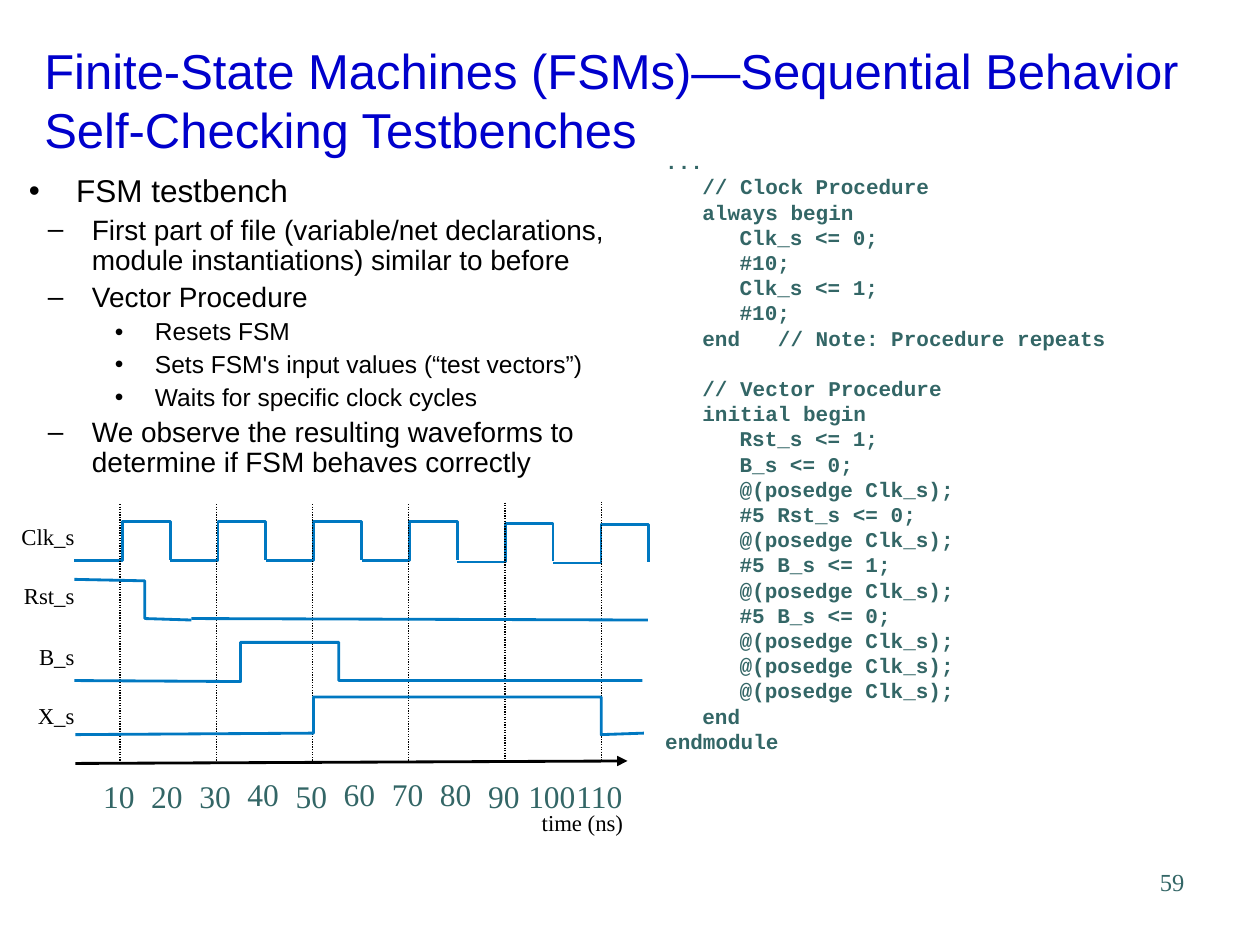
"""Build the slide on self-checking testbenches for finite-state machines."""
from dataclasses import dataclass

from lxml.etree import SubElement
from pptx import Presentation
from pptx.dml.color import RGBColor
from pptx.enum.dml import MSO_LINE_DASH_STYLE as Dash
from pptx.enum.text import MSO_ANCHOR as Anchor, MSO_AUTO_SIZE as AutoSize, PP_ALIGN as Align
from pptx.oxml.ns import qn
from pptx.util import Cm, Pt

COLORS = {"title": "0000CC", "body": "000000", "code": "336666", "wave": "0078C1"}
SANS, SERIF, MONO = "Arial", "Times New Roman", "Courier New"
INSETS = (0.25, 0.13)
CODE_LINE = 14.4
CODE_CHARACTER = 0.25
DRIFT = (0, 0, 0, 0, 0.03, 0.05)
PERIOD = 1.93
GUIDE_STEP = 1.94
TICK_STEP = 0.97
RAISED_TICKS = (40, 60, 70, 80)


@dataclass(frozen=True)
class Style:
    font: str
    size: float
    color: str
    bold: bool = False


@dataclass(frozen=True)
class Level:
    size: float
    margin: float
    hanging: float
    before: float


@dataclass(frozen=True)
class Label:
    text: str
    left: float
    top: float
    width: float
    align: Align = Align.RIGHT


TITLE = Style(SANS, 28, "title")
CODE = Style(MONO, 12, "code", True)
SIGNAL = Style(SERIF, 13, "body")
TICK = Style(SERIF, 18, "code")
NUMBER = Style(SERIF, 14, "code")

LEVELS = (
    Level(18, 0.95, 0.95, 4.5),
    Level(16, 1.27, 0.89, 4),
    Level(14, 2.54, 0.81, 3.5),
)
BULLETS = (
    (0, "FSM testbench"),
    (1, "First part of file (variable/net declarations, module instantiations) similar to before"),
    (1, "Vector Procedure"),
    (2, "Resets FSM"),
    (2, "Sets FSM's input values (“test vectors”)"),
    (2, "Waits for specific clock cycles"),
    (1, "We observe the resulting waveforms to determine if FSM behaves correctly"),
)
LISTING = """...
   // Clock Procedure
   always begin
      Clk_s <= 0;
      #10;
      Clk_s <= 1;
      #10;
   end   // Note: Procedure repeats

   // Vector Procedure
   initial begin
      Rst_s <= 1;
      B_s <= 0;
      @(posedge Clk_s);
      #5 Rst_s <= 0;
      @(posedge Clk_s);
      #5 B_s <= 1;
      @(posedge Clk_s);
      #5 B_s <= 0;
      @(posedge Clk_s);
      @(posedge Clk_s);
      @(posedge Clk_s);
   end
endmodule"""
LABELS = (
    Label("Clk_s", 0.1, 10.54, 1.4),
    Label("Rst_s", 0.1, 11.73, 1.4),
    Label("B_s", 0.1, 12.95, 1.4),
    Label("X_s", 0.1, 14.15, 1.4),
    Label("time (ns)", 10.29, 16.31, 2.9, Align.CENTER),
)
WAVES = (
    ((1.5, 11.68), (2.92, 11.71), (2.92, 12.47), (3.86, 12.5)),
    ((3.86, 12.47), (13.06, 12.5)),
    ((1.5, 13.72), (4.85, 13.74), (4.85, 12.95), (6.83, 12.95), (6.83, 13.72), (12.95, 13.72)),
    ((1.52, 14.81), (6.32, 14.78), (6.32, 14.05), (12.12, 14.05), (12.12, 14.81), (12.98, 14.78)),
)


def color(name: str) -> RGBColor:
    """Look up a named colour."""
    return RGBColor.from_string(COLORS[name])


def format_runs(para, style: Style) -> None:
    """Give every run of a paragraph the same style."""
    for span in para.runs:
        span.font.name, span.font.size, span.font.bold = style.font, Pt(style.size), style.bold
        span.font.color.rgb = color(style.color)


def indent(para, margin: float, hanging: float = 0) -> None:
    """Set the left margin and the hanging indent of a paragraph."""
    properties = para._p.get_or_add_pPr()
    properties.set("marL", str(Cm(margin)))
    properties.set("indent", str(-Cm(hanging)))


def place(shape, left: float, top: float, width: float, height: float) -> None:
    """Move and size a placeholder."""
    shape.left, shape.top, shape.width, shape.height = map(Cm, (left, top, width, height))
    shape.text_frame.auto_size = AutoSize.NONE


def add_text(page, label: Label, height: float, style: Style, insets=(0, 0), wrap=True):
    """Add a text box and return its frame; an unwrapped box fits its text."""
    box = page.shapes.add_textbox(Cm(label.left), Cm(label.top), Cm(label.width), Cm(height))
    frame = box.text_frame
    frame.margin_left = frame.margin_right = Cm(insets[0])
    frame.margin_top = frame.margin_bottom = Cm(insets[1])
    frame.word_wrap = wrap
    frame.auto_size = AutoSize.NONE if wrap else AutoSize.SHAPE_TO_FIT_TEXT
    frame.text = label.text
    for para in frame.paragraphs:
        para.alignment = label.align
        format_runs(para, style)
    return frame


def add_wave(page, points) -> None:
    """Draw one signal as an open outline."""
    start, *rest = [(Cm(x), Cm(y)) for x, y in points]
    builder = page.shapes.build_freeform(*start)
    builder.add_line_segments(rest, close=False)
    wave = builder.convert_to_shape()
    wave.shadow.inherit = False
    wave.fill.background()
    wave.line.color.rgb, wave.line.width = color("wave"), Pt(1.62)


def add_line(page, start, end, width: float):
    """Draw a black straight line without a shadow."""
    line = page.shapes.add_connector(1, *map(Cm, (*start, *end)))
    line.line.color.rgb, line.line.width = color("body"), Pt(width)
    SubElement(line._element.spPr, qn("a:effectLst"))
    return line


def fill_title(title) -> None:
    """Write the two-line title."""
    place(title, 0.64, 0.84, 24.2, 2.34)
    title.text_frame.vertical_anchor = Anchor.MIDDLE
    para = title.text_frame.paragraphs[0]
    para.text = "Finite-State Machines (FSMs)—Sequential Behavior\vSelf-Checking Testbenches"
    para.alignment = Align.LEFT
    format_runs(para, TITLE)


def fill_body(body) -> None:
    """Write the bulleted list."""
    place(body, 0.33, 3.4, 13.31, 6.68)
    body.text_frame.text = "\n".join(text for _, text in BULLETS)
    for para, (depth, _) in zip(body.text_frame.paragraphs, BULLETS):
        level = LEVELS[depth]
        para.level, para.line_spacing, para.space_before = depth, 0.9, Pt(level.before)
        indent(para, level.margin, level.hanging)
        format_runs(para, Style(SANS, level.size, "body"))


def add_listing(page) -> None:
    """Write the code, with indents and gaps as paragraph formatting."""
    lines = LISTING.split("\n")
    text = "\n".join(line.strip() for line in lines if line)
    frame = add_text(page, Label(text, 13.41, 3, 9, Align.LEFT), 12.19, CODE, wrap=False)
    paras = iter(frame.paragraphs)
    for previous, line in zip(["...", *lines], lines):
        if line:
            para = next(paras)
            para.line_spacing = Pt(CODE_LINE)
            para.space_before = Pt(0 if previous else CODE_LINE)
            indent(para, (len(line) - len(line.lstrip())) * CODE_CHARACTER)


def add_timing(page) -> None:
    """Draw the timing diagram with its guides, axis and labels."""
    for label in LABELS:
        add_text(page, label, 0.56, SIGNAL)
    for index, drift in enumerate(DRIFT):
        left, high, low = 1.5 + index * PERIOD, 10.52 + drift, 11.3 + drift
        middle, right = left + PERIOD / 2, left + PERIOD
        add_wave(page, ((left, low), (middle, low), (middle, high), (right, high), (right, low - 0.02)))
        guide_x = 2.42 + index * GUIDE_STEP
        guide = add_line(page, (guide_x, 10.16 - drift), (guide_x, 15.37 - drift), 0.75)
        guide.line.dash_style = Dash.ROUND_DOT
    for points in WAVES:
        add_wave(page, points)
    axis = add_line(page, (1.52, 15.39), (12.65, 15.34), 1.62)
    SubElement(axis.line._get_or_add_ln(), qn("a:tailEnd"), type="triangle")
    for index, time in enumerate(range(10, 120, 10)):
        width = 0.5 + 0.32 * len(str(time))
        left = 2.4 + index * TICK_STEP - width / 2
        top = 15.49 if time in RAISED_TICKS else 15.53
        add_text(page, Label(str(time), left, top, width, Align.LEFT), 1.02, TICK, INSETS, False)


def main() -> None:
    """Build and save the deck."""
    deck = Presentation()
    deck.slide_width, deck.slide_height = Cm(25.4), Cm(19.05)
    page = deck.slides.add_slide(deck.slide_layouts[1])
    fill_title(page.shapes.title)
    fill_body(page.placeholders[1])
    add_listing(page)
    add_timing(page)
    add_text(page, Label("59", 18.85, 17.35, 5.28), 1.27, NUMBER, INSETS)
    deck.save("out.pptx")


if __name__ == "__main__":
    main()
